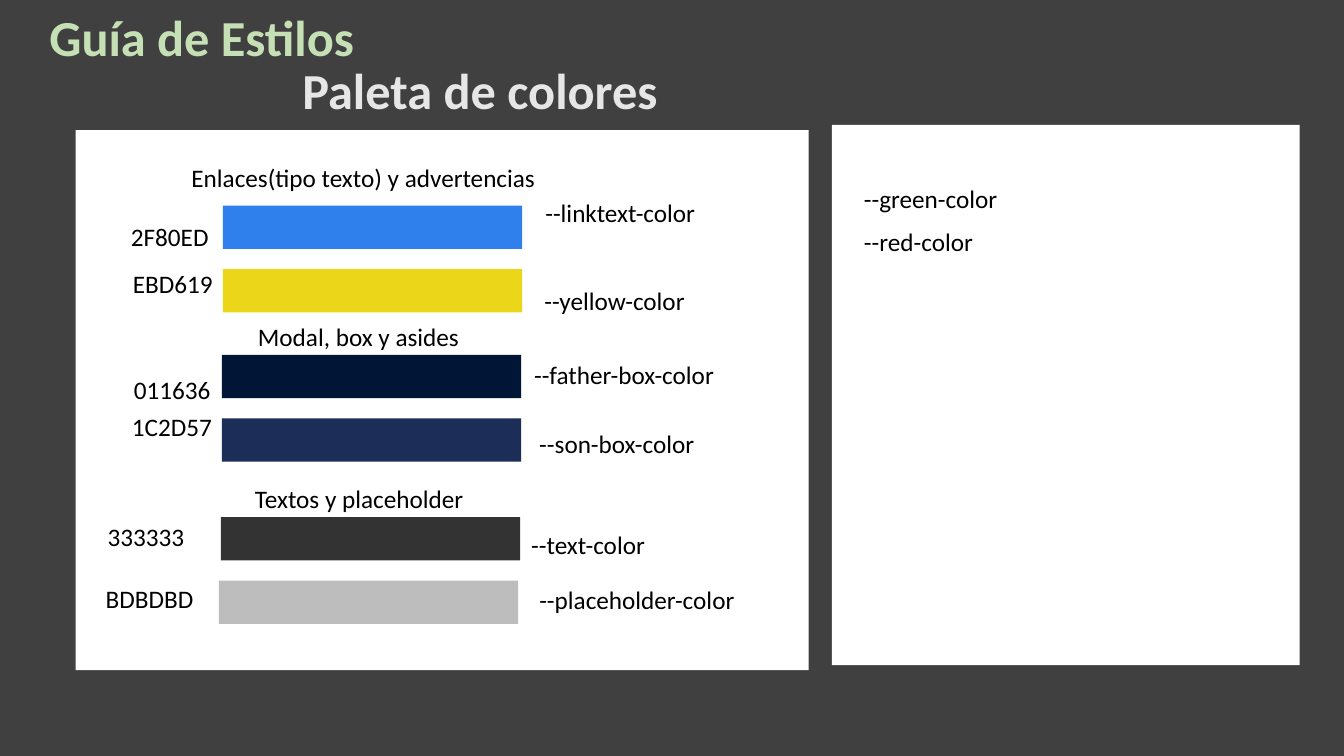
from pptx import Presentation
from pptx.dml.color import RGBColor
from pptx.enum.shapes import MSO_SHAPE
from pptx.enum.text import MSO_ANCHOR, MSO_AUTO_SIZE, PP_ALIGN
from pptx.util import Inches, Pt

# The slide is a grid of square cells, 133.3 columns by 75 rows.
CELL = Inches(0.1)
COLUMNS, ROWS = 133.3, 75
TEXT_ROWS = 4
SWATCH_COLUMNS, SWATCH_ROWS, SWATCH_PITCH = 29.7, 4.3, 6.3

# Left, top, width and height of each white panel
PANELS = [(7.5, 12.9, 72.7, 53.6), (82.5, 12.4, 46.4, 53.6)]

# Heading, its (left, top, width), whether it wraps, top of the first swatch, and
# the swatches: hex code, its (left, top, width), swatch left,
# variable name, its (left, top, width)
GROUPS = [
    ("Enlaces(tipo texto) y advertencias", (18, 15.6, 36.5), False, 20.4, [
        ("2F80ED", (12, 21.5, 9.9), 22.1, "--linktext-color", (53.1, 19.1, 19.2)),
        ("EBD619", (12.2, 26.1, 12.5), 22.1, "--yellow-color", (53, 27.8, 19.2)),
    ]),
    ("Modal, box y asides", (24.6, 31.4, 22.2), False, 35.2, [
        ("011636", (12.3, 36.6, 14.3), 22, "--father-box-color", (52, 35.2, 22.4)),
        ("1C2D57", (12.1, 40.3, 14.7), 22, "--son-box-color", (52.5, 42, 18.3)),
    ]),
    ("Textos y placeholder", (24.3, 47.5, 26.3), True, 51.3, [
        ("333333", (9.7, 51.2, 12), 21.9, "--text-color", (51.7, 52, 28.6)),
        ("BDBDBD", (9.5, 57.4, 12.5), 21.7, "--placeholder-color", (52.5, 57.5, 24.9)),
    ]),
]
STATUS_NAMES = ["--green-color", "--red-color"]


def cells(*counts):
    """Turn counts of grid cells into lengths."""
    return [round(count * CELL) for count in counts]


def color(hex_code):
    return RGBColor.from_string(hex_code)


def write_text(shape, text, size=18, hex_code="000000", bold=False, wrap=True):
    frame = shape.text_frame
    frame.text = text
    frame.word_wrap = wrap
    frame.auto_size = MSO_AUTO_SIZE.SHAPE_TO_FIT_TEXT
    frame.vertical_anchor = MSO_ANCHOR.TOP
    paragraph = frame.paragraphs[0]
    paragraph.alignment = PP_ALIGN.LEFT
    font = paragraph.runs[0].font
    font.name, font.size, font.bold = "Calibri", Pt(size), bold
    font.color.rgb = color(hex_code)


def add_text(slide, text, place, rows=TEXT_ROWS, **text_format):
    box = slide.shapes.add_textbox(*cells(*place, rows))
    write_text(box, text, **text_format)


def add_rectangle(slide, place, hex_code):
    shape = slide.shapes.add_shape(MSO_SHAPE.RECTANGLE, *cells(*place))
    shape.shadow.inherit = False
    shape.fill.solid()
    shape.fill.fore_color.rgb = color(hex_code)
    shape.line.fill.background()


def add_title(slide, text, place, **text_format):
    title = slide.shapes.title
    title.left, title.top, title.width, title.height = cells(*place)
    write_text(title, text, **text_format)


def add_group(slide, heading, heading_place, wrap, first_top, swatches):
    """Add a heading and the labelled swatches below it."""
    add_text(slide, heading, heading_place, wrap=wrap)
    for index, (code, code_place, left, name, name_place) in enumerate(swatches):
        top = first_top + index * SWATCH_PITCH
        add_rectangle(slide, (left, top, SWATCH_COLUMNS, SWATCH_ROWS), code)
        add_text(slide, code, code_place)
        add_text(slide, name, name_place)


def main():
    presentation = Presentation()
    presentation.slide_width, presentation.slide_height = cells(COLUMNS, ROWS)
    slide = presentation.slides.add_slide(presentation.slide_layouts[5])
    slide.background.fill.solid()
    slide.background.fill.fore_color.rgb = color("404040")

    add_title(slide, "Guía de Estilos", (3.9, 0.1, 34.3, 7.1),
              size=36, hex_code="C5E0B4", bold=True)
    add_text(slide, "Paleta de colores", (29, 5.4, 42.7), rows=7.1,
             size=36, hex_code="E7E6E6", bold=True)
    for place in PANELS:
        add_rectangle(slide, place, "FFFFFF")
    for group in GROUPS:
        add_group(slide, *group)
    for index, name in enumerate(STATUS_NAMES):
        add_text(slide, name, (84.7, 17.7 + index * 4.3, 19.2))
    presentation.save("out.pptx")


if __name__ == "__main__":
    main()
